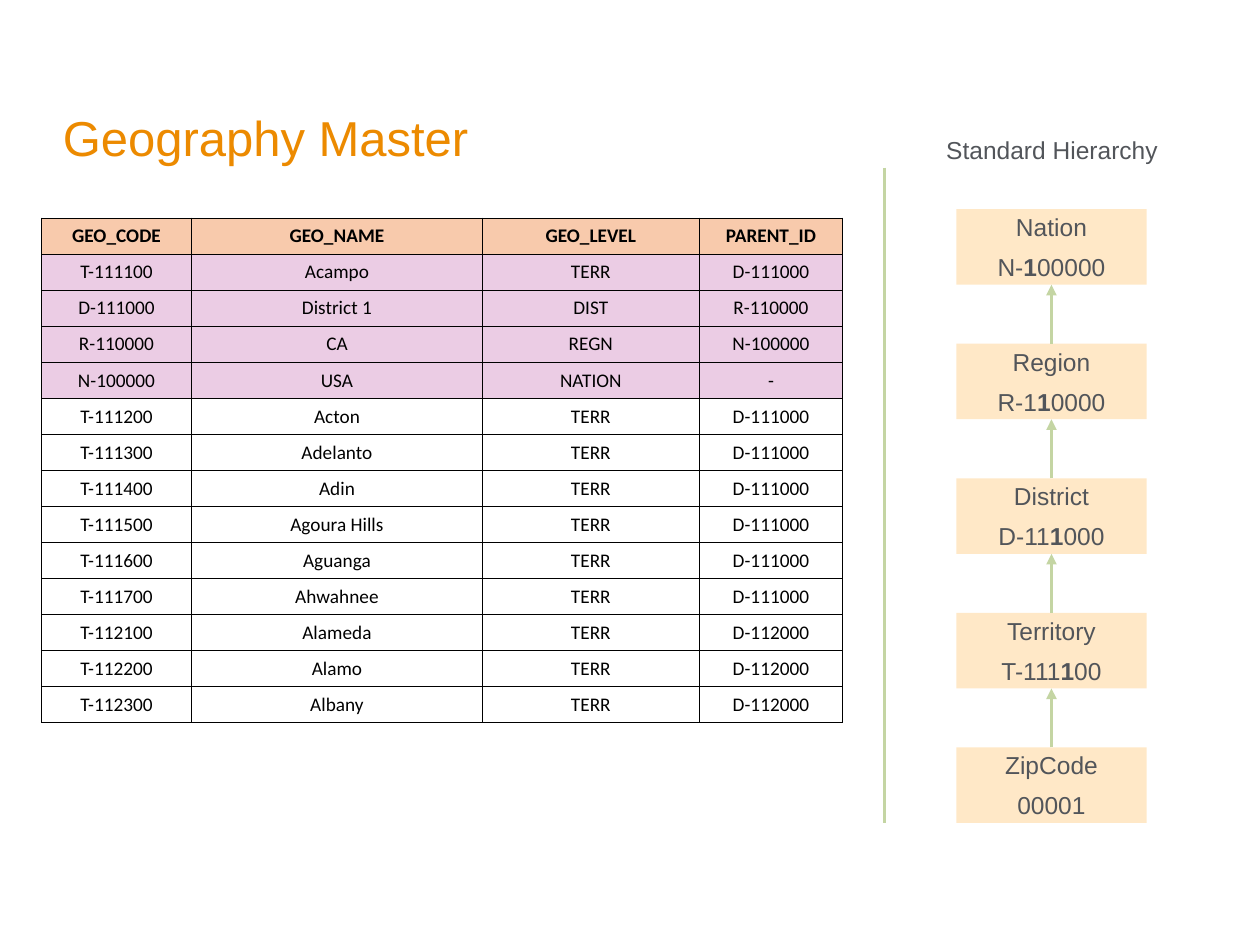
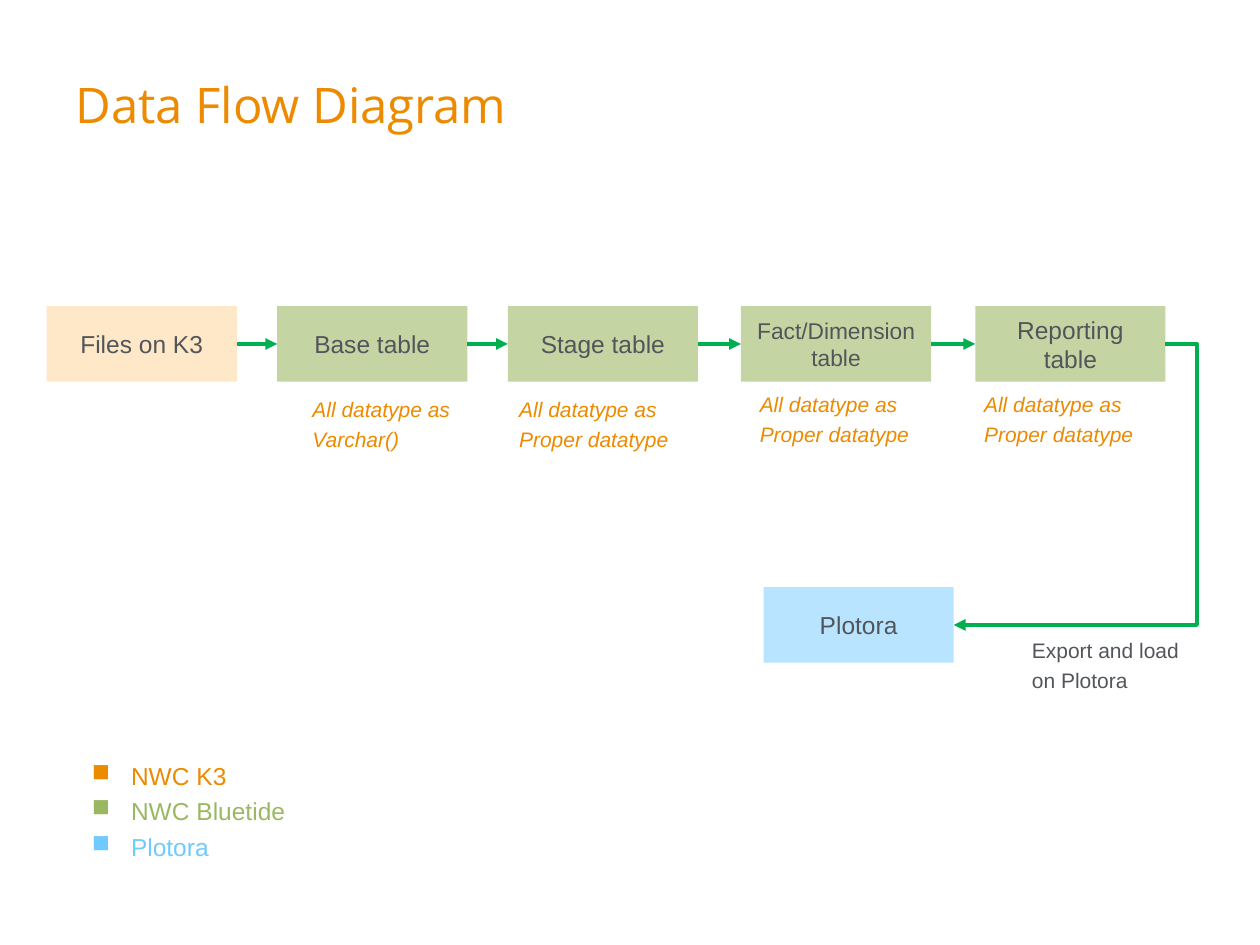
from lxml.etree import SubElement
from pptx import Presentation
from pptx.dml.color import RGBColor
from pptx.enum.shapes import MSO_CONNECTOR, MSO_SHAPE
from pptx.enum.text import MSO_ANCHOR, PP_ALIGN
from pptx.oxml import parse_xml
from pptx.oxml.ns import nsdecls, qn
from pptx.util import Inches, Pt

COLUMNS, ROWS = 100, 75  # grid of the slide
ORANGE, GREEN, BLUE = "EC8A00", "9AB862", "70CAFF"
PALE_ORANGE, PALE_GREEN, PALE_BLUE = "FFE8C7", "C4D5A3", "B8E4FF"
GREY, BLACK, ARROW_GREEN = "52555A", "000000", "00AF50"
HEADER_FILL, PATH_FILL = "F8CAAC", "EBCCE4"
BOX_WIDTH, BOX_HEIGHT = 15.1, 6

GEOGRAPHY = [
    ("GEO_CODE", "GEO_NAME", "GEO_LEVEL", "PARENT_ID"),
    ("T-111100", "Acampo", "TERR", "D-111000"),
    ("D-111000", "District 1", "DIST", "R-110000"),
    ("R-110000", "CA", "REGN", "N-100000"),
    ("N-100000", "USA", "NATION", "-"),
    ("T-111200", "Acton", "TERR", "D-111000"),
    ("T-111300", "Adelanto", "TERR", "D-111000"),
    ("T-111400", "Adin", "TERR", "D-111000"),
    ("T-111500", "Agoura Hills", "TERR", "D-111000"),
    ("T-111600", "Aguanga", "TERR", "D-111000"),
    ("T-111700", "Ahwahnee", "TERR", "D-111000"),
    ("T-112100", "Alameda", "TERR", "D-112000"),
    ("T-112200", "Alamo", "TERR", "D-112000"),
    ("T-112300", "Albany", "TERR", "D-112000"),
]
HIERARCHY = [("Nation", "N-100000"), ("Region", "R-110000"), ("District", "D-111000"),
             ("Territory", "T-111100"), ("ZipCode", "00001")]


def color(value):
    return RGBColor.from_string(value)


class Board:
    """Holds the deck, its text style and the current page."""

    def __init__(self):
        self.deck = Presentation()
        self.deck.slide_width, self.deck.slide_height = Inches(10), Inches(7.5)
        self.page = None

    def new_page(self):
        self.page = self.deck.slides.add_slide(self.deck.slide_layouts[6])

    def across(self, columns):
        return round(self.deck.slide_width * columns / COLUMNS)

    def down(self, rows):
        return round(self.deck.slide_height * rows / ROWS)

    def place(self, left, top, width, height):
        return self.across(left), self.down(top), self.across(width), self.down(height)

    def add_span(self, para, text, size=14, tint=GREY, font="Arial", bold=False, italic=False):
        span = para.add_run()
        span.text = text
        span.font.size, span.font.name = Pt(size), font
        span.font.bold, span.font.italic = bold, italic
        span.font.color.rgb = color(tint)

    def frame(self, shape, anchor):
        frame = shape.text_frame
        frame.word_wrap = True
        frame.vertical_anchor = anchor
        frame.margin_left = frame.margin_right = 0
        frame.margin_top = frame.margin_bottom = 0
        return frame

    def text(self, left, top, width, height, text, spacing=None, **style):
        box = self.page.shapes.add_textbox(*self.place(left, top, width, height))
        para = self.frame(box, MSO_ANCHOR.TOP).paragraphs[0]
        if spacing:
            para.line_spacing = spacing
        self.add_span(para, text, **style)

    def title(self, left, top, text, font="Arial"):
        self.text(left, top, 49, 5, text, size=28, tint=ORANGE, font=font)

    def box(self, left, top, fill, lines, size=14, gap=0):
        """Draw a filled box; each line is a list of (text, bold) spans."""
        box = self.page.shapes.add_shape(
            MSO_SHAPE.RECTANGLE, *self.place(left, top, BOX_WIDTH, BOX_HEIGHT))
        box.shadow.inherit = False
        box.fill.solid()
        box.fill.fore_color.rgb = color(fill)
        box.line.fill.background()
        frame = self.frame(box, MSO_ANCHOR.MIDDLE)
        for number, spans in enumerate(lines):
            para = frame.add_paragraph() if number else frame.paragraphs[0]
            para.alignment = PP_ALIGN.CENTER
            para.space_before = Pt(gap if number else 0)
            for text, bold in spans:
                self.add_span(para, text, size=size, bold=bold)

    def stroke(self, shape, tint, weight, head):
        shape.line.color.rgb = color(tint)
        shape.line.width = Pt(weight)
        if head:
            SubElement(shape.line._get_or_add_ln(), qn("a:tailEnd"), type="triangle")

    def line(self, start, end, tint, weight, head=True):
        connector = self.page.shapes.add_connector(
            MSO_CONNECTOR.STRAIGHT, self.across(start[0]), self.down(start[1]),
            self.across(end[0]), self.down(end[1]))
        self.stroke(connector, tint, weight, head)
        SubElement(connector._element.spPr, qn("a:effectLst"))

    def bent_arrow(self, points, tint, weight):
        corners = [(self.across(x), self.down(y)) for x, y in points]
        builder = self.page.shapes.build_freeform(*corners[0])
        builder.add_line_segments(corners[1:], close=False)
        arrow = builder.convert_to_shape()
        arrow.shadow.inherit = False
        arrow.fill.background()
        self.stroke(arrow, tint, weight, True)

    def table(self, left, top, widths, height, rows, fills):
        """Draw a ruled table; fills maps a row number to its colour."""
        table = self.page.shapes.add_table(
            len(rows), len(widths), *self.place(left, top, sum(widths), height)).table
        table.first_row = table.horz_banding = False
        for column, width in zip(table.columns, widths):
            column.width = self.across(width)
        for number, values in enumerate(rows):
            table.rows[number].height = self.down(height / len(rows))
            for column, value in enumerate(values):
                self.cell(table.cell(number, column), value, fills.get(number), number == 0)

    def cell(self, cell, value, fill, bold):
        cell.margin_left = cell.margin_right = cell.margin_bottom = 0
        cell.margin_top = self.down(0.5)
        para = cell.text_frame.paragraphs[0]
        para.alignment = PP_ALIGN.CENTER
        self.add_span(para, value, size=11, tint=BLACK, font="Calibri", bold=bold)
        if fill:
            cell.fill.solid()
            cell.fill.fore_color.rgb = color(fill)
        else:
            cell.fill.background()
        for order, side in enumerate("LRTB"):
            cell._tc.tcPr.insert(order, parse_xml(
                f'<a:ln{side} {nsdecls("a")} w="{Pt(0.5)}"><a:solidFill>'
                f'<a:srgbClr val="{BLACK}"/></a:solidFill></a:ln{side}>'))

    def legend(self, left, top, width, height, entries):
        box = self.page.shapes.add_textbox(*self.place(left, top, width, height))
        frame = self.frame(box, MSO_ANCHOR.TOP)
        for number, (text, tint) in enumerate(entries):
            para = frame.add_paragraph() if number else frame.paragraphs[0]
            para.space_before = Pt(3.4 if number else 0)
            self.add_span(para, text, tint=tint)
            layout = para._p.get_or_add_pPr()
            layout.set("marL", str(self.across(3.3)))
            layout.set("indent", str(-self.across(3.1)))
            SubElement(layout, qn("a:buChar"), char="■")


def geography_page(board):
    board.new_page()
    board.title(5, 8.5, "Geography Master")
    fills = {0: HEADER_FILL, **dict.fromkeys(range(1, 5), PATH_FILL)}
    board.table(3.3, 17.3, (11.9, 23.1, 17.2, 11.4), 40.1, GEOGRAPHY, fills)
    board.line((70.2, 13.3), (70.2, 65.3), PALE_GREEN, 2.25, head=False)
    board.text(75.1, 10.7, 17.5, 2.6, "Standard Hierarchy")

    left, first_top, step = 75.9, 16.6, 10.68
    middle = left + BOX_WIDTH / 2
    for level, (name, code) in enumerate(HIERARCHY):
        top = first_top + level * step
        digit = level + 2  # the digit that tells this level apart
        code_spans = [(code[:digit], False), (code[digit:digit + 1], True),
                      (code[digit + 1:], False)]
        board.box(left, top, PALE_ORANGE,
                  [[(name, False)], [span for span in code_spans if span[0]]], gap=6)
        if level:
            board.line((middle, top), (middle, top - step + BOX_HEIGHT), PALE_GREEN, 2)


def data_flow_page(board):
    board.new_page()
    board.title(6, 5.9, "Data Flow Diagram", font="Open Sans")
    top, middle = 24.3, 27.3
    stages = [(3.7, PALE_ORANGE, ["Files on K3"], 14),
              (22, PALE_GREEN, ["Base table"], 14),
              (40.3, PALE_GREEN, ["Stage table"], 14),
              (58.8, PALE_GREEN, ["Fact/Dimension", "table"], 13),
              (77.4, PALE_GREEN, ["Reporting", "table"], 14)]
    for left, fill, lines, size in stages:
        board.box(left, top, fill, [[(line, False)] for line in lines], size)
    for (left, *_), (next_left, *_) in zip(stages, stages[1:]):
        board.line((left + BOX_WIDTH, middle), (next_left, middle), ARROW_GREEN, 2.25)

    export_left, export_top = 60.6, 46.6
    export_middle = export_top + BOX_HEIGHT / 2
    board.box(export_left, export_top, PALE_BLUE, [[("Plotora", False)]])
    board.bent_arrow([(stages[-1][0] + BOX_WIDTH, middle), (95, middle),
                      (95, export_middle), (export_left + BOX_WIDTH, export_middle)],
                     ARROW_GREEN, 2.25)

    notes = [(24.8, 31.1, "Varchar()"), (41.2, 31.1, "Proper datatype"),
             (60.3, 30.7, "Proper datatype"), (78.1, 30.7, "Proper datatype")]
    for left, note_top, kind in notes:
        board.text(left, note_top, 12.2, 5, f"All datatype as {kind}",
                   spacing=1.2, size=12, tint=ORANGE, italic=True)
    board.text(81.9, 50.2, 12, 5, "Export and load on Plotora", spacing=1.2, size=12)
    board.legend(7.1, 60.4, 16.5, 8.1,
                 [("NWC K3", ORANGE), ("NWC Bluetide", GREEN), ("Plotora", BLUE)])


def main():
    board = Board()
    geography_page(board)
    data_flow_page(board)
    board.deck.save("out.pptx")


if __name__ == "__main__":
    main()
